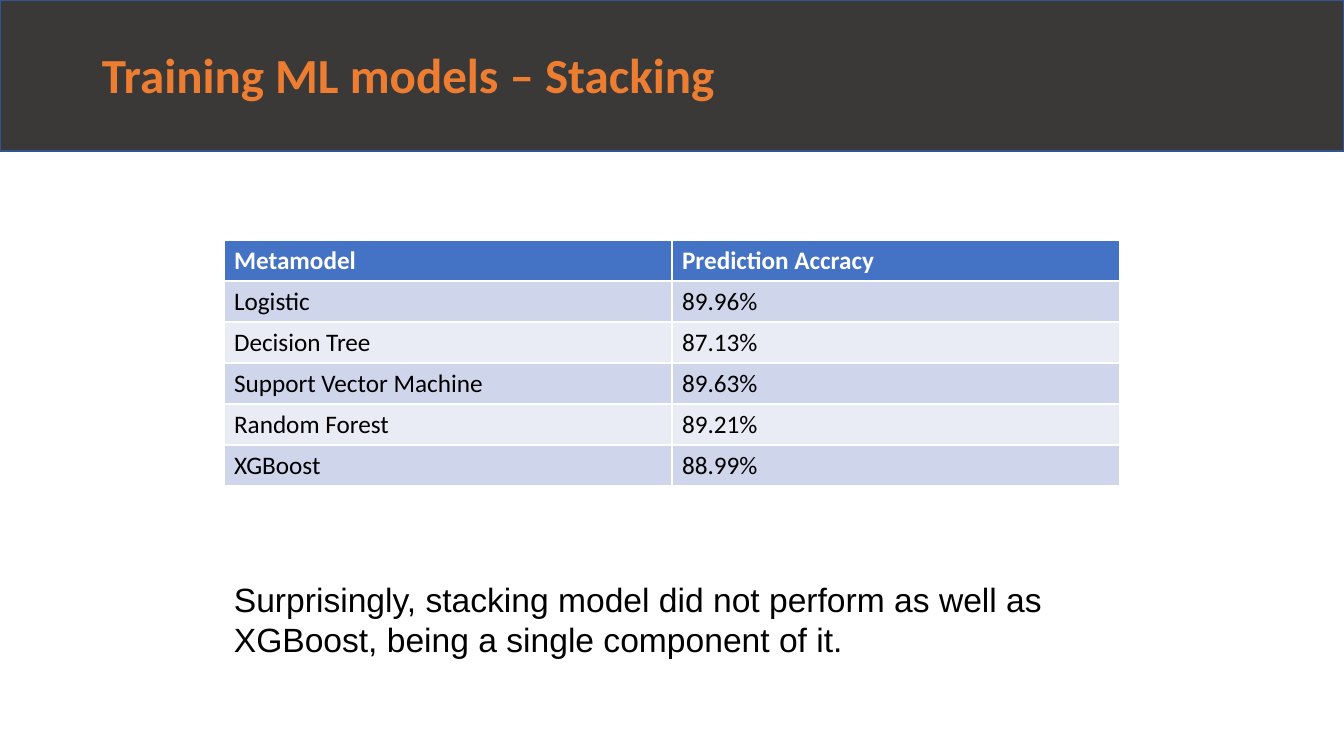
from dataclasses import dataclass

from pptx import Presentation
from pptx import util as u
from pptx.dml.color import RGBColor
from pptx.enum import shapes, text


@dataclass(frozen=True)
class Theme:
    banner: RGBColor = RGBColor.from_string("3B3838")
    banner_line: RGBColor = RGBColor.from_string("325491")
    title: RGBColor = RGBColor.from_string("ED7D31")
    header: RGBColor = RGBColor.from_string("4472C4")
    bands: tuple = (RGBColor.from_string("E9EBF5"), RGBColor.from_string("CFD5EA"))
    white: RGBColor = RGBColor.from_string("FFFFFF")
    black: RGBColor = RGBColor.from_string("000000")
    heading_font: str = "Calibri"
    note_font: str = "Arial"
    title_size: int = 35
    note_size: int = 24
    table_size: int = 18


theme = Theme()
SLIDE_WIDTH, SLIDE_HEIGHT = 1344, 756
EMU_PER_PX = u.Inches(1) / 100.8


def px(*lengths):
    return [u.Emu(round(length * EMU_PER_PX)) for length in lengths]


def style(paragraph, name, size, color, bold=False):
    paragraph.font.name = name
    paragraph.font.size = u.Pt(size)
    paragraph.font.color.rgb = color
    paragraph.font.bold = bold


presentation = Presentation()
presentation.slide_width, presentation.slide_height = px(SLIDE_WIDTH, SLIDE_HEIGHT)
slide = presentation.slides.add_slide(presentation.slide_layouts[6])

banner = slide.shapes.add_shape(
    shapes.MSO_SHAPE.RECTANGLE, *px(0, 0, SLIDE_WIDTH, 151)
)
banner.shadow.inherit = False
banner.fill.solid()
banner.fill.fore_color.rgb = theme.banner
banner.line.color.rgb = theme.banner_line
banner.line.width = u.Pt(1)

note = slide.shapes.add_textbox(*px(224, 574, 829, 92)).text_frame
note.word_wrap = True
note.auto_size = text.MSO_AUTO_SIZE.SHAPE_TO_FIT_TEXT
note.text = (
    "Surprisingly, stacking model did not perform as well as XGBoost, "
    "being a single component of it."
)
style(note.paragraphs[0], theme.note_font, theme.note_size, theme.black)

title = slide.shapes.add_textbox(*px(92, 5, 1159, 146)).text_frame
title.word_wrap = True
title.vertical_anchor = text.MSO_ANCHOR.MIDDLE
title.text = "Training ML models – Stacking"
title.paragraphs[0].line_spacing = 0.9
style(title.paragraphs[0], theme.heading_font, theme.title_size, theme.title, True)

accuracy_rows = [
    ("Metamodel", "Prediction Accracy"),
    ("Logistic", "89.96%"),
    ("Decision Tree", "87.13%"),
    ("Support Vector Machine", "89.63%"),
    ("Random Forest", "89.21%"),
    ("XGBoost", "88.99%"),
]
table = slide.shapes.add_table(
    len(accuracy_rows), 2, *px(224, 240, 896, 41 * len(accuracy_rows))
).table
for row, values in enumerate(accuracy_rows):
    is_header = row == 0
    for column, value in enumerate(values):
        cell = table.cell(row, column)
        cell.text = value
        cell.fill.solid()
        cell.fill.fore_color.rgb = theme.header if is_header else theme.bands[row % 2]
        style(
            cell.text_frame.paragraphs[0],
            theme.heading_font,
            theme.table_size,
            theme.white if is_header else theme.black,
            is_header,
        )

presentation.save("out.pptx")
